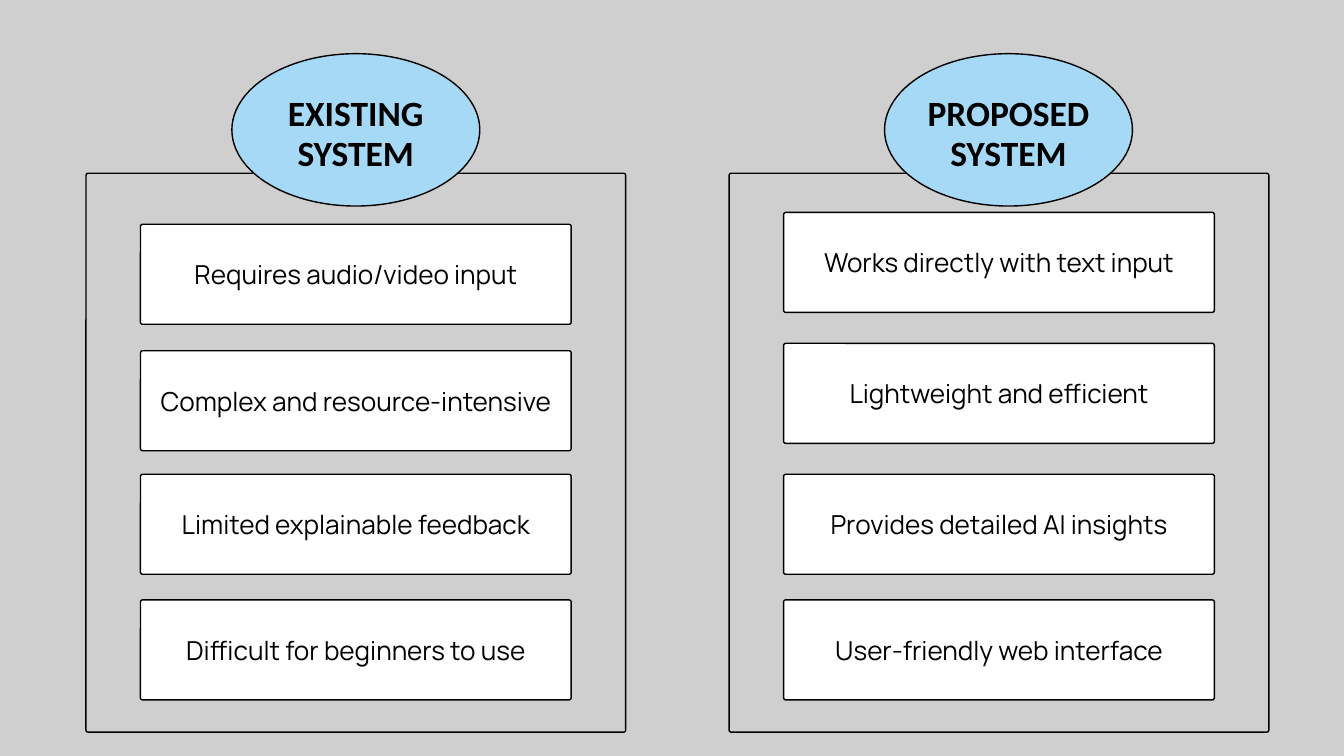
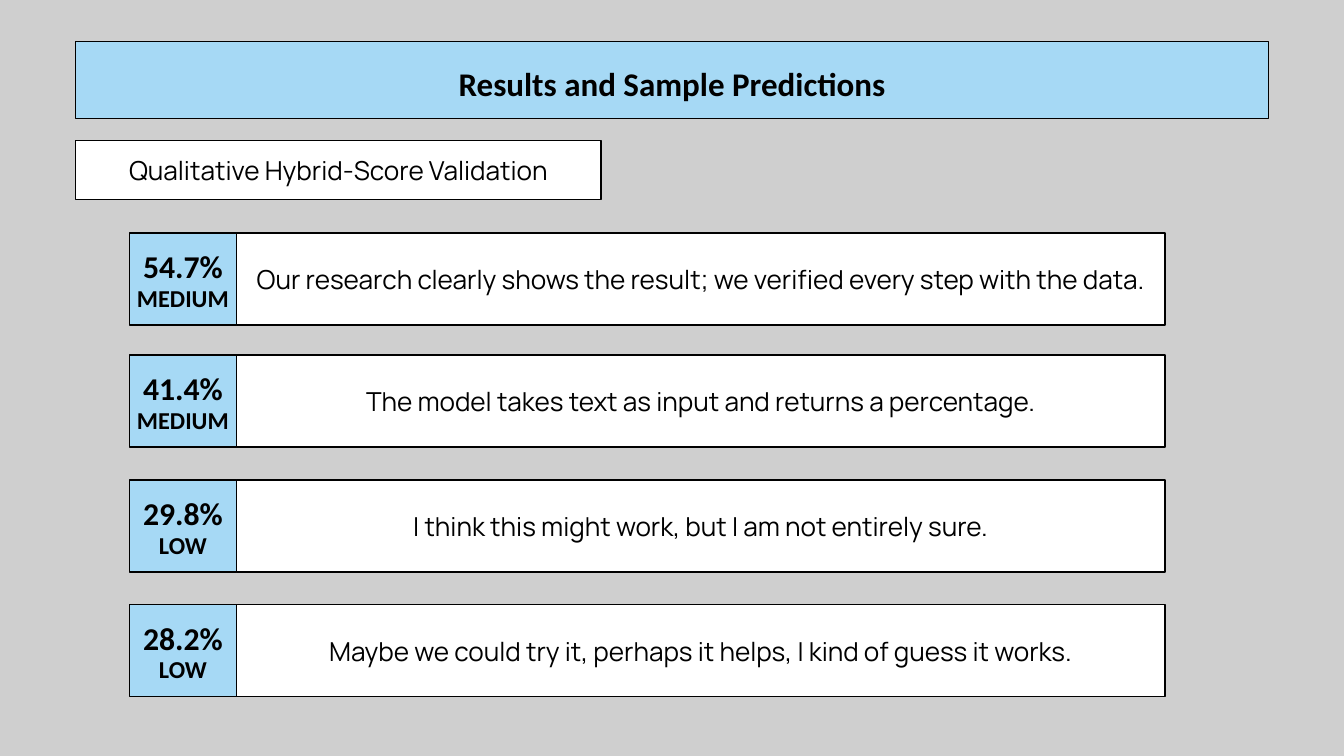
"""Build two slides: a comparison of systems and a list of sample predictions."""
from pptx import Presentation
from pptx.dml.color import RGBColor
from pptx.enum.shapes import MSO_SHAPE as Preset
from pptx.enum.text import MSO_ANCHOR as Anchor, MSO_AUTO_SIZE as AutoSize, PP_ALIGN as Align
from pptx.util import Cm, Pt

COLORS = {"background": "CFCFCF", "accent": "A6D9F5", "card": "FFFFFF", "ink": "000000"}

STYLES = {
    "title": ("Calibri", 35.4, 49.6, True),
    "heading": ("Calibri", 38, 42.5, True),
    "score": ("Calibri", 34, 38.1, True),
    "level": ("Calibri", 26, 29.1, True),
    "body": ("Manrope", 28, 33.6, False),
}

SYSTEMS = [
    {"heading": "EXISTING SYSTEM", "left": 3.25, "heading_shift": 0,
     "points": [(8.48, "Requires audio/video input"),
                (13.26, "Complex and resource-intensive"),
                (17.93, "Limited explainable feedback"),
                (22.68, "Difficult for beginners to use")]},
    {"heading": "PROPOSED SYSTEM", "left": 27.56, "heading_shift": 0.36,
     "points": [(8.03, "Works directly with text input"),
                (12.98, "Lightweight and efficient"),
                (17.93, "Provides detailed AI insights"),
                (22.68, "User-friendly web interface")]},
]

RESULTS_TITLE = "Results and Sample Predictions"
RESULTS_SUBTITLE = "Qualitative Hybrid-Score Validation"
PREDICTIONS = [
    (8.81, "54.7%", "MEDIUM",
     "Our research clearly shows the result; we verified every step with the data."),
    (13.42, "41.4%", "MEDIUM", "The model takes text as input and returns a percentage."),
    (18.14, "29.8%", "LOW", "I think this might work, but I am not entirely sure."),
    (22.86, "28.2%", "LOW", "Maybe we could try it, perhaps it helps, I kind of guess it works."),
]

PANEL_TOP, PANEL_WIDTH, PANEL_HEIGHT = 6.55, 20.4, 21.13
OVAL_TOP, OVAL_WIDTH, OVAL_HEIGHT = 2.03, 9.37, 5.76
CARD_WIDTH, CARD_HEIGHT = 16.28, 3.78
CORNER = 0.08
MARGIN = 2.86
BADGE_LEFT, BADGE_WIDTH, ROW_HEIGHT, SENTENCE_WIDTH = 4.9, 4.03, 3.48, 35.1


def color(name):
    return RGBColor.from_string(COLORS[name])


def paint(shape, fill):
    shape.shadow.inherit = False
    if fill:
        shape.fill.solid()
        shape.fill.fore_color.rgb = color(fill)
    else:
        shape.fill.background()
    shape.line.color.rgb = color("ink")
    shape.line.width = Pt(1.5)


def write(shape, lines, inset_top=0):
    frame = shape.text_frame
    frame.word_wrap = True
    frame.auto_size = AutoSize.NONE
    frame.vertical_anchor = Anchor.MIDDLE
    frame.margin_left = frame.margin_right = frame.margin_bottom = 0
    frame.margin_top = Cm(inset_top)
    frame.text = "\n".join(text for text, _ in lines)
    for paragraph, (_, style) in zip(frame.paragraphs, lines):
        name, size, spacing, bold = STYLES[style]
        paragraph.alignment = Align.CENTER
        paragraph.line_spacing = Pt(spacing)
        for run in paragraph.runs:
            run.font.name = name
            run.font.size = Pt(size)
            run.font.bold = bold
            run.font.color.rgb = color("ink")


def add_box(slide, preset, left, top, width, height, fill=None):
    shape = slide.shapes.add_shape(preset, Cm(left), Cm(top), Cm(width), Cm(height))
    paint(shape, fill)
    if preset == Preset.ROUNDED_RECTANGLE:
        shape.adjustments[0] = CORNER / min(width, height)
    return shape


def build_comparison(presentation):
    slide = presentation.slides.add_slide(presentation.slide_layouts[6])
    for system in SYSTEMS:
        left = system["left"]
        add_box(slide, Preset.ROUNDED_RECTANGLE, left, PANEL_TOP, PANEL_WIDTH, PANEL_HEIGHT)
        oval_left = left + (PANEL_WIDTH - OVAL_WIDTH) / 2 + system["heading_shift"]
        oval = add_box(slide, Preset.OVAL, oval_left, OVAL_TOP, OVAL_WIDTH, OVAL_HEIGHT, "accent")
        write(oval, [(system["heading"], "heading")], inset_top=0.3)
        card_left = left + (PANEL_WIDTH - CARD_WIDTH) / 2
        for top, point in system["points"]:
            card = add_box(slide, Preset.ROUNDED_RECTANGLE, card_left, top,
                           CARD_WIDTH, CARD_HEIGHT, "card")
            write(card, [(point, "body")])


def build_results(presentation):
    slide = presentation.slides.add_slide(presentation.slide_layouts[5])
    title = slide.shapes.title
    title.left, title.top, title.width, title.height = Cm(MARGIN), Cm(1.58), Cm(45.09), Cm(2.91)
    paint(title, "accent")
    write(title, [(RESULTS_TITLE, "title")])
    subtitle = add_box(slide, Preset.RECTANGLE, MARGIN, 5.31, 19.86, 2.24, "card")
    write(subtitle, [(RESULTS_SUBTITLE, "body")])
    for top, score, level, sentence in PREDICTIONS:
        card = add_box(slide, Preset.RECTANGLE, BADGE_LEFT + BADGE_WIDTH, top,
                       SENTENCE_WIDTH, ROW_HEIGHT, "card")
        write(card, [(sentence, "body")])
        badge = add_box(slide, Preset.RECTANGLE, BADGE_LEFT, top, BADGE_WIDTH, ROW_HEIGHT, "accent")
        write(badge, [(score, "score"), (level, "level")], inset_top=0.13)


def main():
    presentation = Presentation()
    presentation.slide_width, presentation.slide_height = Cm(50.8), Cm(28.58)
    background = presentation.slide_master.background.fill
    background.solid()
    background.fore_color.rgb = color("background")
    build_comparison(presentation)
    build_results(presentation)
    presentation.save("out.pptx")


if __name__ == "__main__":
    main()
